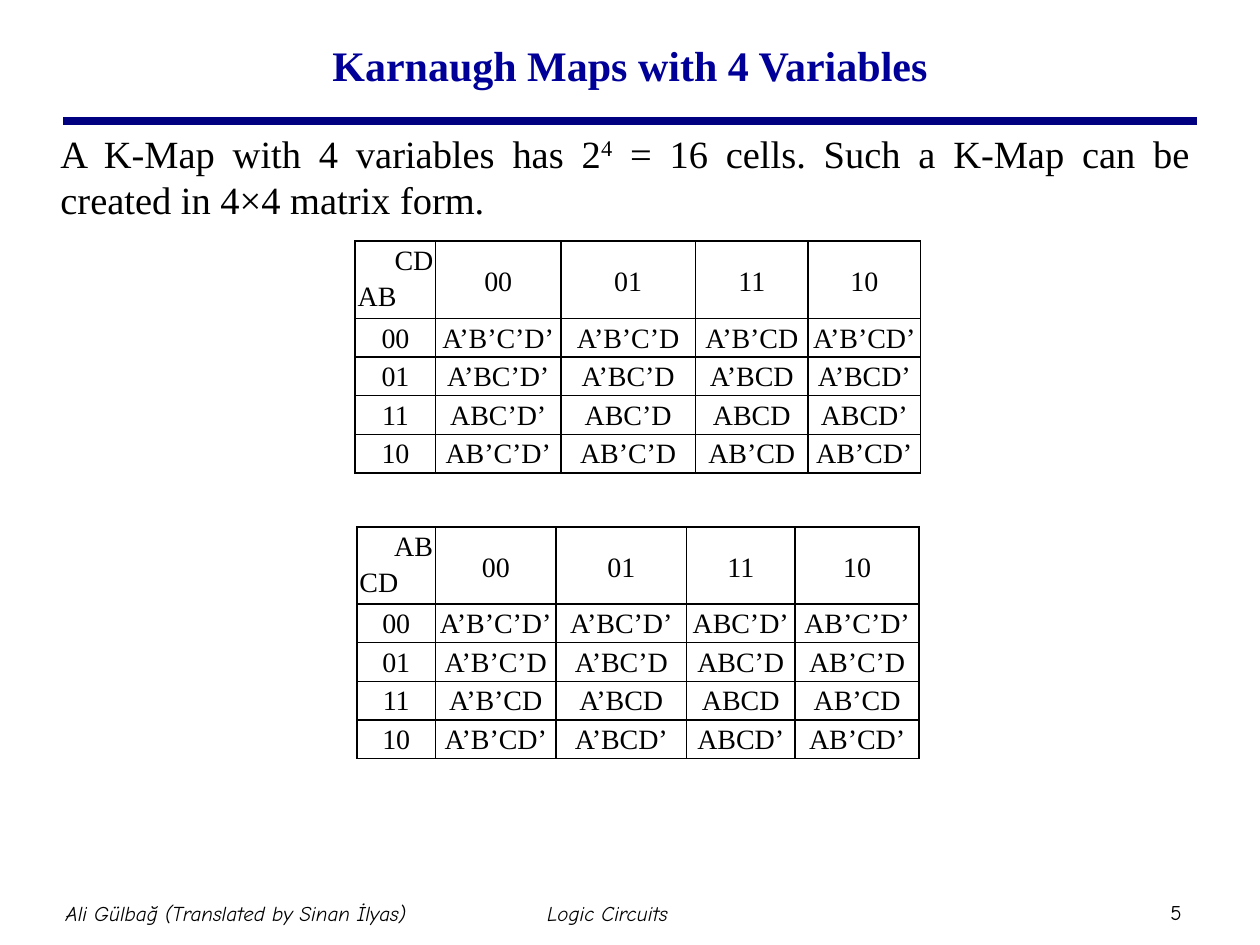
from lxml import etree
from pptx import Presentation
from pptx.dml.color import RGBColor
from pptx.enum.shapes import MSO_CONNECTOR as Connector
from pptx.enum.text import MSO_ANCHOR as Anchor, PP_ALIGN as Align
from pptx.oxml.ns import qn
from pptx.util import Pt

SERIF = "Times New Roman"
FOOTER = "Comic Neue"
GRAY_CODE = ["00", "01", "11", "10"]
ROW_HEIGHT = 20.5


def color(hex_string):
    return RGBColor.from_string(hex_string)


def write(paragraph, text, font=SERIF, size=16, fill="000000", bold=False,
          italic=False, align=Align.CENTER, spacing=None, raised=False):
    """Append a formatted run to a paragraph."""
    paragraph.alignment = align
    if spacing:
        paragraph.line_spacing = spacing
    run = paragraph.add_run()
    run.text = text
    run.font.name = font
    run.font.size = Pt(size)
    run.font.bold = bold
    run.font.italic = italic
    run.font.color.rgb = color(fill)
    if raised:
        run._r.get_or_add_rPr().set("baseline", "30000")


def add_text_box(slide, left, top, width, height, anchor=Anchor.MIDDLE,
                 inset_x=7.2):
    """Add an empty wrapped text box and return its first paragraph."""
    frame = slide.shapes.add_textbox(
        Pt(left), Pt(top), Pt(width), Pt(height)).text_frame
    frame.word_wrap = True
    frame.vertical_anchor = anchor
    frame.margin_left = frame.margin_right = Pt(inset_x)
    frame.margin_top = frame.margin_bottom = Pt(3.6)
    return frame.paragraphs[0]


def add_rule(slide, left, right, y, fill, width):
    line = slide.shapes.add_connector(
        Connector.STRAIGHT, Pt(left), Pt(y), Pt(right), Pt(y))
    line.line.color.rgb = color(fill)
    line.line.width = Pt(width)
    etree.SubElement(line._element.spPr, qn("a:effectLst"))


def style_cell(cell, inset, anchor):
    """Give a cell thin black borders, no fill and narrow side margins."""
    properties = cell._tc.get_or_add_tcPr()
    for side in ("lnL", "lnR", "lnT", "lnB"):
        border = etree.SubElement(properties, qn(f"a:{side}"), w=str(Pt(1)))
        solid = etree.SubElement(border, qn("a:solidFill"))
        etree.SubElement(solid, qn("a:srgbClr"), val="000000")
    cell.fill.background()
    cell.margin_left = cell.margin_right = Pt(inset)
    cell.margin_top = cell.margin_bottom = 0
    cell.vertical_anchor = anchor


def minterm(bits):
    """Turn a pattern such as 0110 into A’BCD’."""
    return "".join(name if bit == "1" else name + "’"
                   for name, bit in zip("ABCD", bits))


def add_karnaugh_map(slide, left, top, widths, row_names, column_names):
    size = len(GRAY_CODE) + 1
    table = slide.shapes.add_table(
        size, size, Pt(left), Pt(top), Pt(sum(widths)),
        Pt(ROW_HEIGHT * (size + 1))).table
    table.first_row = table.horz_banding = False
    for column, width in zip(table.columns, widths):
        column.width = Pt(width)
    for index, row in enumerate(table.rows):
        row.height = Pt(ROW_HEIGHT * (1 if index else 2))

    for r in range(size):
        for c in range(size):
            cell = table.cell(r, c)
            header = r == 0 and c > 0
            style_cell(cell, 2.9 if c in (2, 3) else 1.4,
                       Anchor.MIDDLE if header else Anchor.TOP)
            paragraph = cell.text_frame.paragraphs[0]
            if r == c == 0:
                # Corner: column variables above, row variables below
                write(paragraph, column_names, align=Align.RIGHT, spacing=1.15)
                write(cell.text_frame.add_paragraph(), row_names,
                      align=Align.LEFT, spacing=1.15)
                continue
            if r == 0 or c == 0:
                text = GRAY_CODE[max(r, c) - 1]
            else:
                codes = {row_names: GRAY_CODE[r - 1],
                         column_names: GRAY_CODE[c - 1]}
                text = minterm(codes["AB"] + codes["CD"])
            write(paragraph, text, spacing=1.15)


def main():
    presentation = Presentation()
    presentation.slide_width, presentation.slide_height = Pt(720), Pt(540)
    slide = presentation.slides.add_slide(presentation.slide_layouts[6])

    # Title and rule
    add_rule(slide, 36, 684, 69.3, "000080", 4.5)
    write(add_text_box(slide, 54, 6, 612, 62), "Karnaugh Maps with 4 Variables",
          size=24, fill="000099", bold=True)

    # Introduction
    body = add_text_box(slide, 27.5, 70.5, 659.5, 400, anchor=Anchor.TOP)
    for text, raised in [
            ("A K-Map with 4 variables has 2", False),
            ("4", True),
            (" = 16 cells. Such a K-Map can be created in 4×4 matrix form.",
             False)]:
        write(body, text, size=22, align=Align.JUSTIFY, raised=raised)

    # Karnaugh maps
    add_karnaugh_map(slide, 203, 137.8, [46, 71.5, 77, 64.3, 64.3], "AB", "CD")
    add_karnaugh_map(slide, 204, 301, [44.8, 69, 74.5, 62, 71], "CD", "AB")

    # Footer
    for text, left, top, width, height, italic in [
            ("Ali Gülbağ (Translated by Sinan İlyas)", 5.8, 504, 258, 36, True),
            ("Logic Circuits", 218.2, 504, 258, 36, True),
            ("5", 655.2, 510.5, 33.8, 21.6, False)]:
        write(add_text_box(slide, left, top, width, height, inset_x=3.6),
              text, font=FOOTER, size=12, italic=italic)

    presentation.save("out.pptx")


if __name__ == "__main__":
    main()
